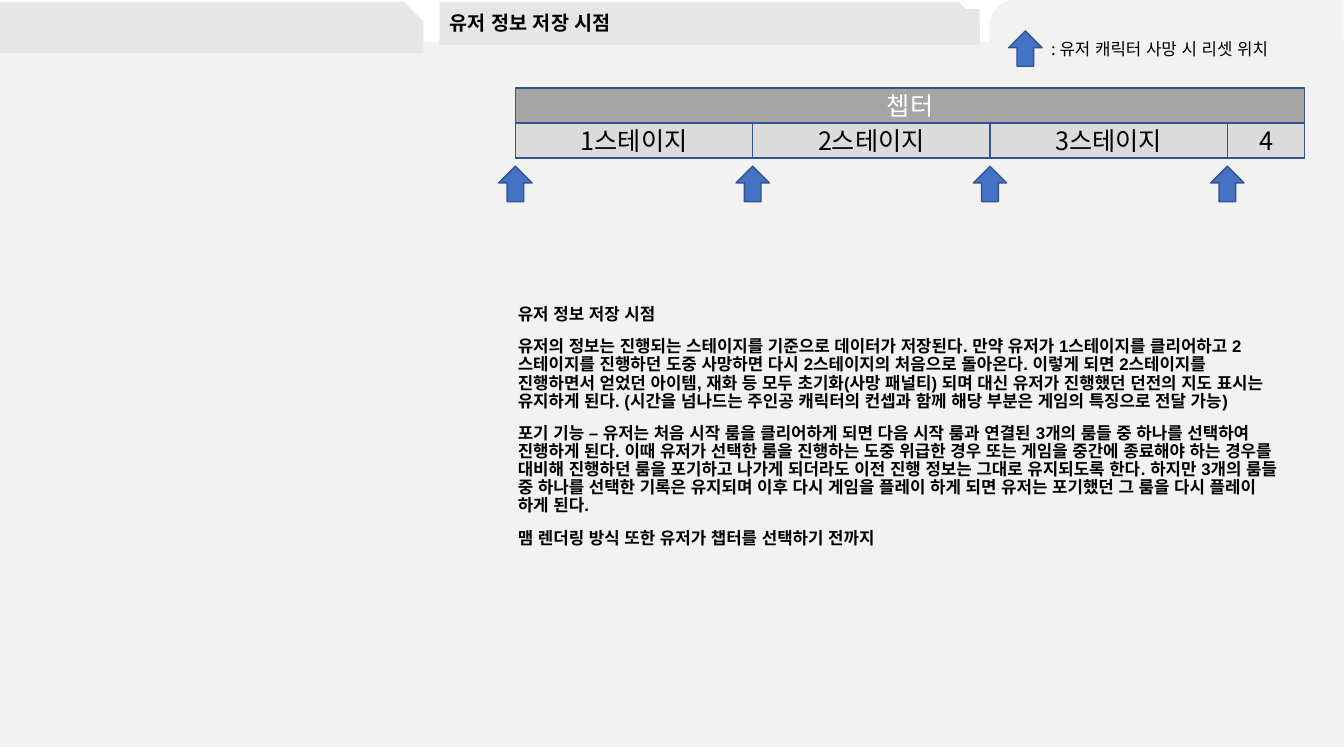
from dataclasses import dataclass
from typing import Optional

from pptx import Presentation
from pptx.dml.color import RGBColor
from pptx.enum.shapes import MSO_SHAPE as Form
from pptx.enum.text import MSO_ANCHOR as Anchor, MSO_AUTO_SIZE as Fit, PP_ALIGN as Align
from pptx.oxml.ns import qn
from pptx.util import Cm, Pt
from lxml.etree import SubElement

PALE = RGBColor(0xF2, 0xF2, 0xF2)
TAB = RGBColor(0xE7, 0xE6, 0xE6)
GRAY = RGBColor(0xA5, 0xA5, 0xA5)
LIGHT = RGBColor(0xDB, 0xDB, 0xDB)
BLUE = RGBColor(0x44, 0x72, 0xC4)
NAVY = RGBColor(0x32, 0x54, 0x91)
BLACK = RGBColor(0, 0, 0)
WHITE = RGBColor(0xFF, 0xFF, 0xFF)
NOTO = "Noto Sans CJK KR"
ARIAL = "Arial"

LEFT, TOP = 12.99, 2.22
STEP, ROW = 5.98, 0.88
WIDE, LAST = 19.89, 1.95
ARROW = 0.84
TITLE = "유저 정보 저장 시점"
STAGES = ["1스테이지", "2스테이지", "3스테이지", "4"]
BODY = [
    TITLE,
    "유저의 정보는 진행되는 스테이지를 기준으로 데이터가 저장된다. 만약 유저가 1스테이지를 "
    "클리어하고 2스테이지를 진행하던 도중 사망하면 다시 2스테이지의 처음으로 돌아온다. "
    "이렇게 되면 2스테이지를 진행하면서 얻었던 아이템, 재화 등 모두 초기화(사망 패널티) 되며 "
    "대신 유저가 진행했던 던전의 지도 표시는 유지하게 된다. (시간을 넘나드는 주인공 캐릭터의 "
    "컨셉과 함께 해당 부분은 게임의 특징으로 전달 가능)",
    "포기 기능 – 유저는 처음 시작 룸을 클리어하게 되면 다음 시작 룸과 연결된 3개의 룸들 중 "
    "하나를 선택하여 진행하게 된다. 이때 유저가 선택한 룸을 진행하는 도중 위급한 경우 또는 "
    "게임을 중간에 종료해야 하는 경우를 대비해 진행하던 룸을 포기하고 나가게 되더라도 이전 "
    "진행 정보는 그대로 유지되도록 한다. 하지만 3개의 룸들 중 하나를 선택한 기록은 유지되며 "
    "이후 다시 게임을 플레이 하게 되면 유저는 포기했던 그 룸을 다시 플레이 하게 된다.",
    "맴 렌더링 방식 또한 유저가 챕터를 선택하기 전까지",
]


@dataclass
class Box:
    x: float
    y: float
    w: float
    h: float
    fill: RGBColor
    form: Form = Form.RECTANGLE
    line: Optional[RGBColor] = None
    adj: Optional[float] = None
    flip: bool = False


@dataclass
class Style:
    size: int
    font: str = NOTO
    color: RGBColor = BLACK
    bold: bool = False
    align: Align = Align.LEFT
    anchor: Anchor = Anchor.TOP
    space: float = 1.0


def draw(shapes, box: Box):
    shape = shapes.add_shape(box.form, Cm(box.x), Cm(box.y), Cm(box.w), Cm(box.h))
    shape.shadow.inherit = False
    shape.fill.solid()
    shape.fill.fore_color.rgb = box.fill
    if box.line is None:
        shape.line.fill.background()
    else:
        shape.line.color.rgb = box.line
        shape.line.width = Pt(1)
    if box.adj is not None:
        shape.adjustments[0] = box.adj
    if box.flip:
        shape._element.spPr.find(qn("a:xfrm")).set("flipH", "1")
    return shape


def write(shape, lines: list[str], style: Style, wrap: bool = True) -> None:
    frame = shape.text_frame
    frame.word_wrap = wrap
    frame.vertical_anchor = style.anchor
    frame.text = "\n".join(lines)
    for i, para in enumerate(frame.paragraphs):
        para.alignment = style.align
        para.line_spacing = style.space
        if i:
            para.space_before = Pt(10)
        for run in para.runs:
            font = run.font
            font.size = Pt(style.size)
            font.name = style.font
            font.bold = style.bold
            font.color.rgb = style.color
            SubElement(run._r.get_or_add_rPr(), qn("a:ea")).set("typeface", ARIAL)


def arrow(shapes, x: float, y: float) -> None:
    draw(shapes, Box(x - ARROW / 2, y, ARROW, 0.89, BLUE, Form.UP_ARROW, NAVY))


def frame(shapes) -> None:
    parts = [
        Box(0, 1.07, 33.87, 17.75, PALE, Form.FLOWCHART_PROCESS),
        Box(0, 0.05, 10.67, 1.29, TAB, Form.SNIP_1_RECTANGLE, adj=0.38),
        Box(24.94, 0, 8.92, 1.3, PALE, Form.ROUND_1_RECTANGLE, adj=0.5, flip=True),
        Box(11.08, 0.05, 13.61, 1.07, TAB, Form.SNIP_1_RECTANGLE, adj=0.5),
    ]
    for part in parts:
        draw(shapes, part)


def prose(shapes) -> None:
    head = draw(shapes, Box(11.08, 0.23, 13.61, 0.89, TAB))
    write(head, [TITLE], Style(14, ARIAL, bold=True, space=0.9))
    text = shapes.add_textbox(Cm(12.8), Cm(7.59), Cm(WIDE), Cm(7.26))
    write(text, BODY, Style(12, ARIAL, bold=True, space=0.9))


def chart(shapes) -> None:
    bar = draw(shapes, Box(LEFT, TOP, WIDE, ROW, GRAY, line=NAVY))
    write(bar, ["쳅터"], Style(18, color=WHITE, align=Align.CENTER, anchor=Anchor.MIDDLE))
    label = Style(18, align=Align.CENTER, anchor=Anchor.MIDDLE)
    spots = [LEFT + STEP * i for i in range(len(STAGES))]
    for x, name in zip(spots, STAGES):
        width = LAST if x == spots[-1] else STEP
        cell = draw(shapes, Box(x, TOP + ROW, width, ROW, LIGHT, line=NAVY))
        write(cell, [name], label)
    for x in spots:
        arrow(shapes, x, 4.19)


def legend(shapes) -> None:
    arrow(shapes, 25.84, 0.78)
    note = shapes.add_textbox(Cm(26.24), Cm(0.86), Cm(6.65), Cm(0.77))
    write(note, [": 유저 캐릭터 사망 시 리셋 위치"], Style(12), wrap=False)
    note.text_frame.auto_size = Fit.SHAPE_TO_FIT_TEXT


def main() -> None:
    deck = Presentation()
    deck.slide_width, deck.slide_height = Cm(33.87), Cm(19.05)
    shapes = deck.slides.add_slide(deck.slide_layouts[6]).shapes
    for part in (frame, prose, chart, legend):
        part(shapes)
    deck.save("out.pptx")


if __name__ == "__main__":
    main()
